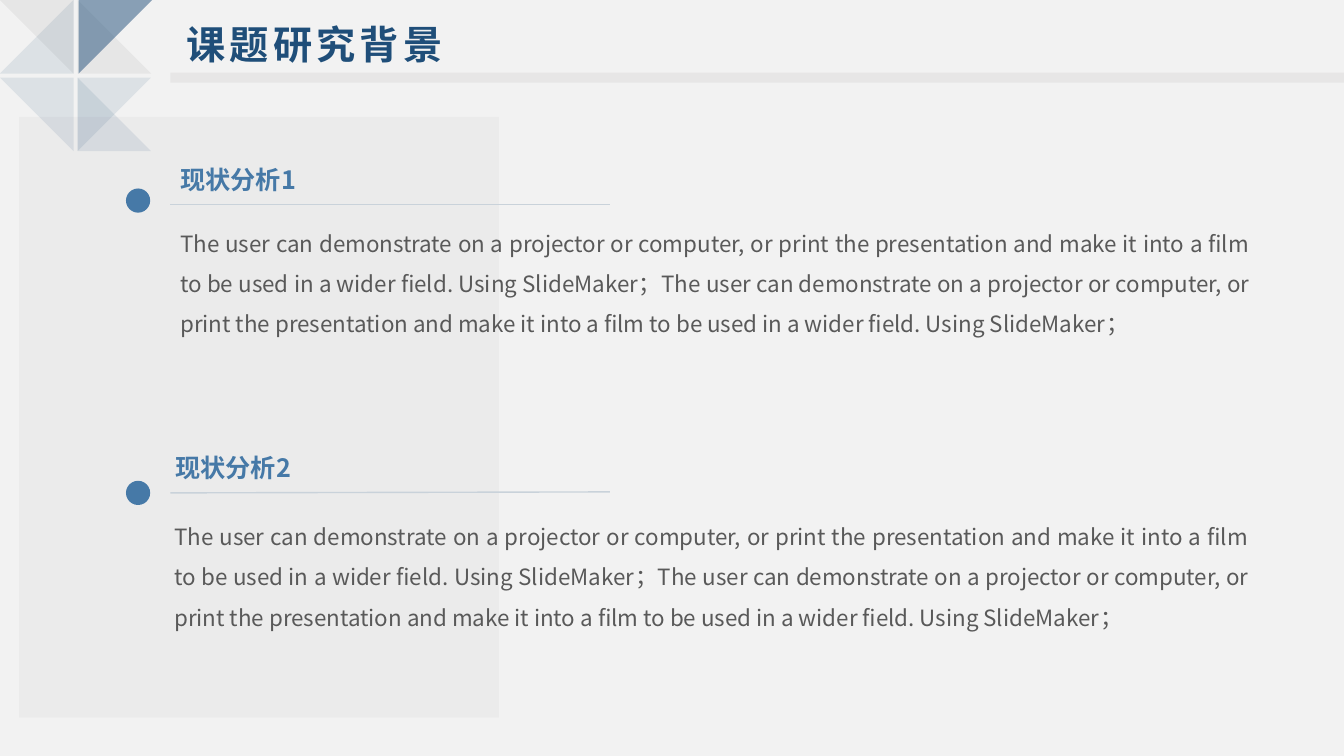
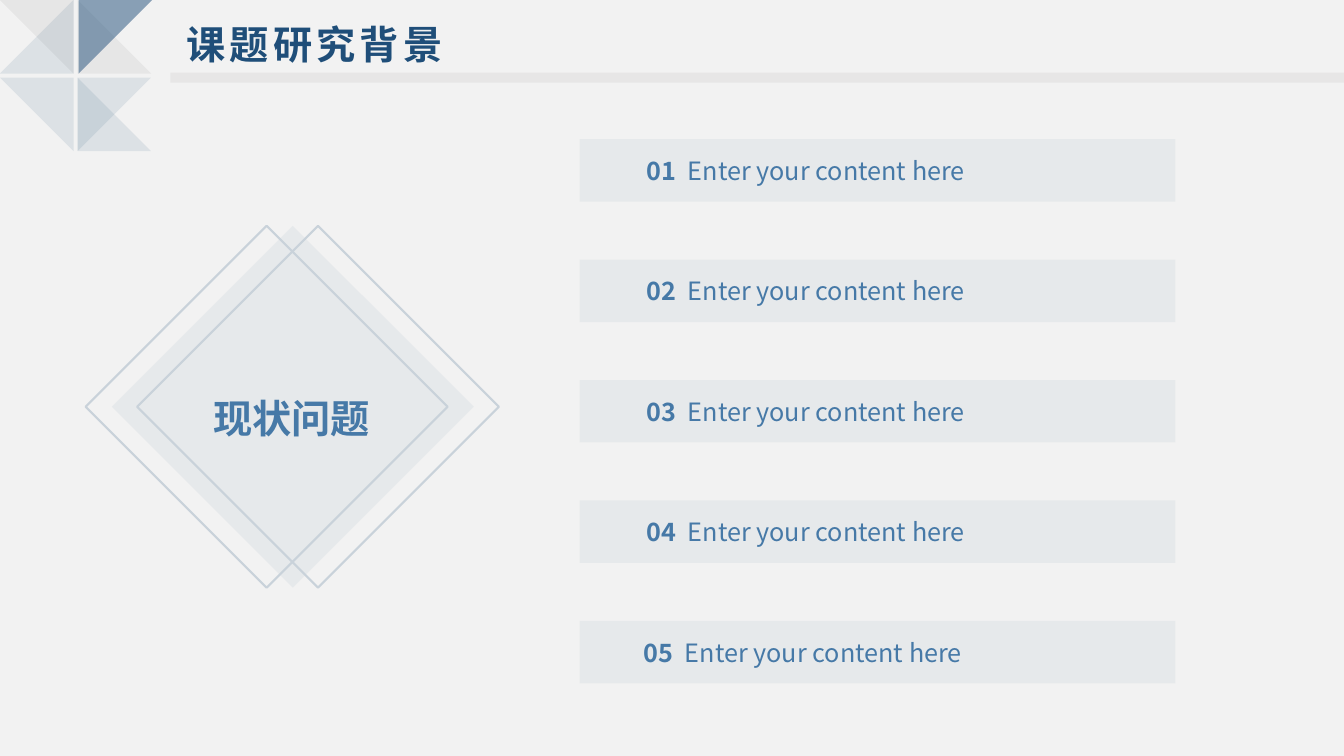
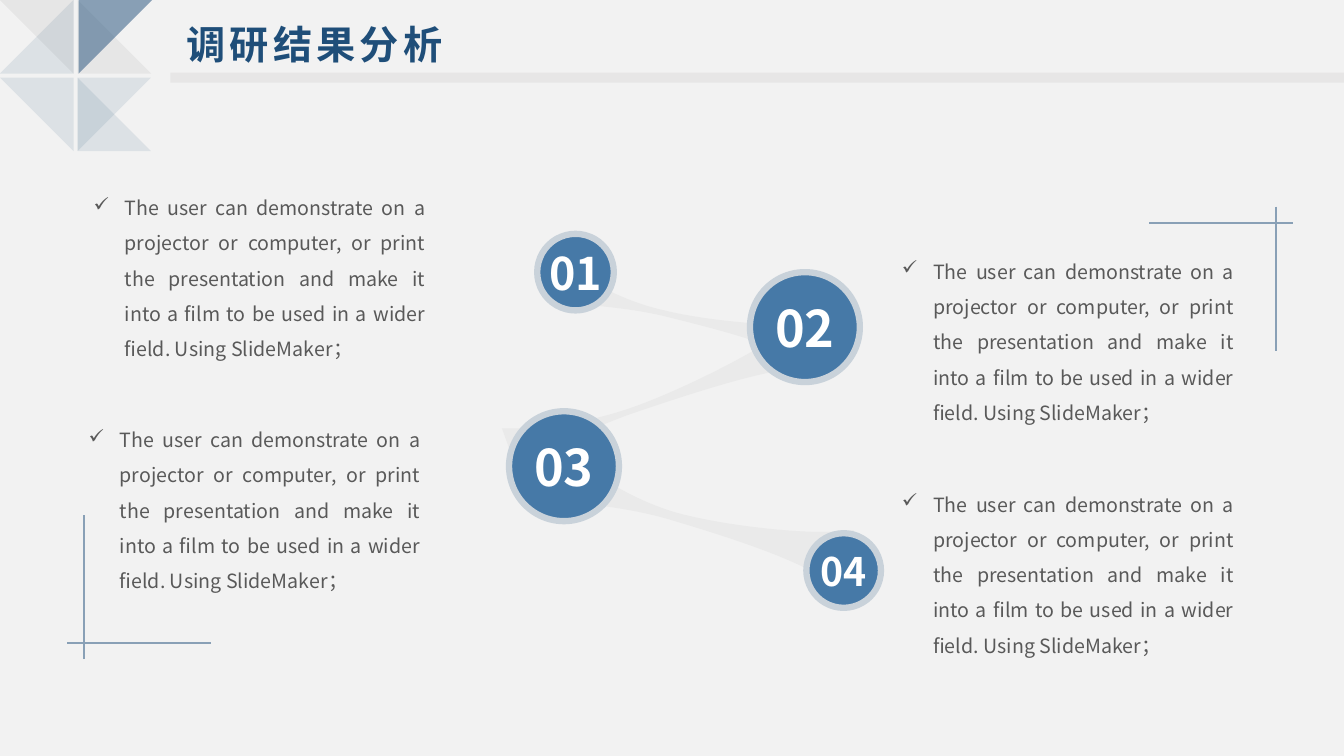
"""Build three research slides that share one title band and corner mark."""

import dataclasses
import typing

import pptx
import pptx.dml.color
import pptx.enum.shapes
import pptx.enum.text
import pptx.oxml.ns
import pptx.util
import lxml.etree

Inches = pptx.util.Inches
Shape = pptx.enum.shapes.MSO_SHAPE
Align = pptx.enum.text.PP_ALIGN
Anchor = pptx.enum.text.MSO_ANCHOR
qn = pptx.oxml.ns.qn


@dataclasses.dataclass(frozen=True)
class Theme:
    font: str = "Noto Sans CJK SC"
    paper: str = "F2F2F2"
    band: str = "E7E6E6"
    panel: str = "E6E6E6"
    ribbon: str = "EAEAEA"
    navy: str = "1F4E79"
    grey: str = "7F7F7F"
    blue: str = "4679A7"
    outline: str = "C9D2DA"
    tint: str = "DCE1E5"
    corner: str = "89A0B6"
    body: str = "595959"
    white: str = "FFFFFF"
    title_size: int = 28
    heading_size: int = 18
    body_size: int = 16
    note_size: int = 14
    badge_sizes: tuple[int, int, int] = (28, 32, 36)


THEME = Theme()
SMALL, MEDIUM, LARGE = THEME.badge_sizes


class Rect(typing.NamedTuple):
    left: float
    top: float
    width: float
    height: float

    def lengths(self) -> list[pptx.util.Length]:
        return [Inches(value) for value in self]


class Point(typing.NamedTuple):
    x: float
    y: float


@dataclasses.dataclass(frozen=True)
class TextStyle:
    size: int
    color: str
    bold: bool = False
    align: typing.Any = Align.LEFT
    anchor: typing.Any = Anchor.TOP
    spacing: float = 1.0
    margin: float = 0
    hanging: float = 0
    bullet: str = ""
    tracking: int = 0
    grow: bool = False


TITLE = TextStyle(THEME.title_size, THEME.navy, True, anchor=Anchor.MIDDLE, margin=0.2, tracking=300, grow=True)
HEADING = TextStyle(THEME.heading_size, THEME.blue, True, anchor=Anchor.MIDDLE)
BODY = TextStyle(THEME.body_size, THEME.body, align=Align.JUSTIFY, spacing=1.5)
NOTE = TextStyle(THEME.note_size, THEME.body, align=Align.JUSTIFY, spacing=1.5, margin=0.31, hanging=0.31,
                 bullet="✓", grow=True)
ITEM_NUMBER = TextStyle(THEME.heading_size, THEME.blue, True, grow=True)
ITEM_GAP = dataclasses.replace(ITEM_NUMBER, tracking=400)
ITEM_TEXT = dataclasses.replace(ITEM_NUMBER, bold=False)
DIAMOND = TextStyle(THEME.title_size, THEME.blue, True, Align.CENTER, Anchor.MIDDLE, 1.5, margin=0.2)

SENTENCE = (
    "The user can demonstrate on a projector or computer, or print the presentation "
    "and make it into a film to be used in a wider field. Using SlideMaker；"
)


class Triangle(typing.NamedTuple):
    corners: tuple[Point, ...]
    color: str
    opacity: int


class Section(typing.NamedTuple):
    heading: str
    heading_at: Rect
    body_at: Rect
    dot: Point
    line: tuple[Point, ...]


class Badge(typing.NamedTuple):
    label: str
    left: float
    top: float
    diameter: float
    size: int


class Ribbon(typing.NamedTuple):
    upper: tuple[Point, ...]
    lower: tuple[Point, ...]


def points(*values: float) -> tuple[Point, ...]:
    return tuple(Point(x, y) for x, y in zip(values[::2], values[1::2]))


TRIANGLES = (
    Triangle(points(0.73, 0.73, 0, 0, 0.73, 0), THEME.grey, 10),
    Triangle(points(0.73, 0, 0, 0.73, 0.73, 0.73), THEME.navy, 10),
    Triangle(points(1.5, 0.73, 0.77, 0, 0.77, 0.73), THEME.grey, 10),
    Triangle(points(0.77, 1.5, 1.5, 0.77, 0.77, 0.77), THEME.navy, 10),
    Triangle(points(0.73, 1.5, 0, 0.77, 0.73, 0.77), THEME.navy, 10),
    Triangle(points(0.77, 0.77, 1.5, 1.5, 0.77, 1.5), THEME.navy, 10),
    Triangle(points(0.78, 0.73, 1.51, 0, 0.78, 0), THEME.navy, 50),
)

SECTIONS = (
    Section("现状分析1", Rect(1.69, 1.55, 3.75, 0.47), Rect(1.69, 2.1, 10.81, 1.88),
            Point(1.25, 1.87), points(1.69, 2.03, 6.05, 2.03)),
    Section("现状分析2", Rect(1.64, 4.4, 3.75, 0.47), Rect(1.63, 5.01, 10.86, 1.77),
            Point(1.25, 4.77), points(1.69, 4.89, 6.05, 4.88)),
)

BADGES = (
    Badge("01", 5.33, 2.32, 0.76, MEDIUM),
    Badge("02", 7.44, 2.7, 1.09, LARGE),
    Badge("03", 5.05, 4.08, 1.09, LARGE),
    Badge("04", 8, 5.29, 0.74, SMALL),
)

RIBBONS = (
    Ribbon(points(5.53, 4.39, 5.8, 4.65, 6.2, 4.93, 6.69, 5.08, 7.18, 5.22, 8.1, 5.32, 8.47, 5.26),
           points(8.3, 5.84, 8.06, 5.58, 7.13, 5.3, 6.63, 5.15, 6.14, 5.01, 5.63, 4.98, 5.36, 4.97)),
    Ribbon(points(5.62, 2.63, 5.85, 2.8, 6.19, 2.99, 6.59, 3.08, 6.99, 3.18, 7.73, 3.25, 8.02, 3.21),
           points(7.93, 3.59, 7.72, 3.41, 6.96, 3.23, 6.56, 3.13, 6.16, 3.04, 5.74, 3.02, 5.53, 3.01)),
    Ribbon(points(4.98, 4.25, 5.33, 4.26, 5.78, 4.21, 6.25, 4.05, 6.72, 3.89, 7.52, 3.49, 7.8, 3.27),
           points(7.93, 3.66, 7.61, 3.65, 6.72, 3.95, 6.25, 4.11, 5.78, 4.28, 5.34, 4.51, 5.12, 4.64)),
)

NOTES_AT = points(0.83, 1.78, 0.78, 4.08, 8.85, 2.41, 8.85, 4.72)

CORNER_LINES = (
    points(11.4, 2.21, 12.83, 2.21),
    points(12.66, 2.05, 12.66, 3.48),
    points(2.09, 6.38, 0.66, 6.38),
    points(0.83, 6.54, 0.83, 5.11),
)


def rgb(color: str) -> pptx.dml.color.RGBColor:
    return pptx.dml.color.RGBColor.from_string(color)


def paint(shape: typing.Any, fill: str = "", opacity: int = 100, line: str = "", weight: float = 0) -> None:
    shape.shadow.inherit = False
    if fill:
        shape.fill.solid()
        shape.fill.fore_color.rgb = rgb(fill)
        if opacity < 100:
            color = shape._element.spPr.find(qn("a:solidFill"))[0]
            lxml.etree.SubElement(color, qn("a:alpha")).set("val", str(opacity * 1000))
    else:
        shape.fill.background()
    if line:
        shape.line.color.rgb = rgb(line)
        shape.line.width = pptx.util.Pt(weight)
    else:
        shape.line.fill.background()


def add_figure(page: typing.Any, kind: typing.Any, rect: Rect, **look: typing.Any) -> typing.Any:
    shape = page.shapes.add_shape(kind, *rect.lengths())
    paint(shape, **look)
    return shape


def add_outline(shapes: typing.Any, corners: typing.Sequence[Point], **look: typing.Any) -> typing.Any:
    lengths = [(Inches(x), Inches(y)) for x, y in corners]
    builder = shapes.build_freeform(*lengths[0])
    builder.add_line_segments(lengths[1:], close=True)
    shape = builder.convert_to_shape()
    paint(shape, **look)
    return shape


def add_ribbon(page: typing.Any, ribbon: Ribbon) -> None:
    shape = add_outline(page.shapes, ribbon.upper + ribbon.lower, fill=THEME.ribbon)
    segments = list(shape._element.iter(qn("a:lnTo")))
    edge = len(ribbon.upper)
    for part in (segments[:edge - 1], segments[edge:]):
        for first in range(0, len(part), 3):
            curve = lxml.etree.Element(qn("a:cubicBezTo"))
            part[first].addprevious(curve)
            for segment in part[first:first + 3]:
                curve.append(segment[0])
                segment.getparent().remove(segment)


def add_line(page: typing.Any, ends: typing.Sequence[Point], color: str, weight: float) -> None:
    (x1, y1), (x2, y2) = ends
    line = page.shapes.add_connector(
        pptx.enum.shapes.MSO_CONNECTOR.STRAIGHT, Inches(x1), Inches(y1), Inches(x2), Inches(y2))
    line.line.color.rgb = rgb(color)
    line.line.width = pptx.util.Pt(weight)
    lxml.etree.SubElement(line._element.spPr, qn("a:effectLst"))


def format_span(span: typing.Any, style: TextStyle) -> None:
    span.font.name = THEME.font
    span.font.size = pptx.util.Pt(style.size)
    span.font.bold = style.bold
    span.font.color.rgb = rgb(style.color)
    properties = span._r.get_or_add_rPr()
    lxml.etree.SubElement(properties, qn("a:ea")).set("typeface", THEME.font)
    if style.tracking:
        properties.set("spc", str(style.tracking))


def write(box: typing.Any, style: TextStyle, text: str) -> typing.Any:
    frame = box.text_frame
    frame.text = text
    frame.word_wrap = True
    frame.vertical_anchor = style.anchor
    sizes = pptx.enum.text.MSO_AUTO_SIZE
    frame.auto_size = sizes.SHAPE_TO_FIT_TEXT if style.grow else sizes.NONE
    para = frame.paragraphs[0]
    para.alignment = style.align
    para.line_spacing = style.spacing
    format_span(para.runs[0], style)
    properties = para._p.get_or_add_pPr()
    properties.set("marL", str(Inches(style.margin)))
    properties.set("indent", str(-Inches(style.hanging)))
    if style.bullet:
        lxml.etree.SubElement(properties, qn("a:buChar")).set("char", style.bullet)
    return para


def add_text(page: typing.Any, rect: Rect, style: TextStyle, text: str) -> typing.Any:
    return write(page.shapes.add_textbox(*rect.lengths()), style, text)


def add_span(para: typing.Any, style: TextStyle, text: str) -> None:
    span = para.add_run()
    span.text = text
    format_span(span, style)


def add_page(deck: typing.Any, title: str) -> typing.Any:
    page = deck.slides.add_slide(deck.slide_layouts[5])
    box = page.shapes.title
    box.left, box.top, box.width, box.height = Rect(1.55, 0.15, 4.82, 0.57).lengths()
    write(box, TITLE, title)
    return page


def add_frame(page: typing.Any) -> None:
    add_figure(page, Shape.RECTANGLE, Rect(1.69, 0.72, 11.65, 0.1), fill=THEME.band)
    mark = page.shapes.add_group_shape()
    for triangle in TRIANGLES:
        add_outline(mark.shapes, triangle.corners, fill=triangle.color, opacity=triangle.opacity)


def build_analysis(deck: typing.Any) -> None:
    page = add_page(deck, "课题研究背景")
    add_figure(page, Shape.RECTANGLE, Rect(0.19, 1.16, 4.76, 5.96), fill=THEME.panel, opacity=50)
    for section in SECTIONS:
        add_figure(page, Shape.OVAL, Rect(*section.dot, 0.24, 0.24), fill=THEME.blue)
        add_line(page, section.line, THEME.outline, 1)
        add_text(page, section.body_at, BODY, SENTENCE * 2)
        add_text(page, section.heading_at, HEADING, section.heading)
    add_frame(page)


def build_problems(deck: typing.Any) -> None:
    page = add_page(deck, "课题研究背景")
    side = 3.59
    add_figure(page, Shape.DIAMOND, Rect(1.11, 2.24, side, side), fill=THEME.tint, opacity=50)
    for left in (1.36, 0.85):
        add_figure(page, Shape.DIAMOND, Rect(left, 2.24, side, side), line=THEME.outline, weight=1.5)
    add_text(page, Rect(1.62, 3.71, 2.34, 0.64), DIAMOND, "现状问题")
    first_top, pitch = 1.38, (6.16 - 1.38) / 4
    for index, text_left in enumerate((6.32, 6.32, 6.32, 6.32, 6.29)):
        top = first_top + index * pitch
        add_figure(page, Shape.RECTANGLE, Rect(5.75, top, 5.91, 0.62), fill=THEME.tint, opacity=50)
        para = add_text(page, Rect(text_left, top + 0.11, 4.4, 0.4), ITEM_NUMBER, f"{index + 1:02d}")
        add_span(para, ITEM_GAP, " ")
        add_span(para, ITEM_TEXT, "Enter your content here")
    add_frame(page)


def build_results(deck: typing.Any) -> None:
    page = add_page(deck, "调研结果分析")
    for ribbon in RIBBONS:
        add_ribbon(page, ribbon)
    for badge in BADGES:
        circle = add_figure(page, Shape.OVAL, Rect(badge.left, badge.top, badge.diameter, badge.diameter),
                            fill=THEME.blue, line=THEME.outline, weight=4.5)
        write(circle, TextStyle(badge.size, THEME.white, True, Align.CENTER, Anchor.MIDDLE), badge.label)
        frame = circle.text_frame
        frame.word_wrap = False
        frame.margin_left = frame.margin_right = frame.margin_top = frame.margin_bottom = 0
    for left, top in NOTES_AT:
        add_text(page, Rect(left, top, 3.49, 1.87), NOTE, SENTENCE)
    for ends in CORNER_LINES:
        add_line(page, ends, THEME.corner, 1.5)
    add_frame(page)


def main() -> None:
    deck = pptx.Presentation()
    deck.slide_width, deck.slide_height = Inches(40 / 3), Inches(7.5)
    background = deck.slide_master.background.fill
    background.solid()
    background.fore_color.rgb = rgb(THEME.paper)
    build_analysis(deck)
    build_problems(deck)
    build_results(deck)
    deck.save("out.pptx")


if __name__ == "__main__":
    main()
